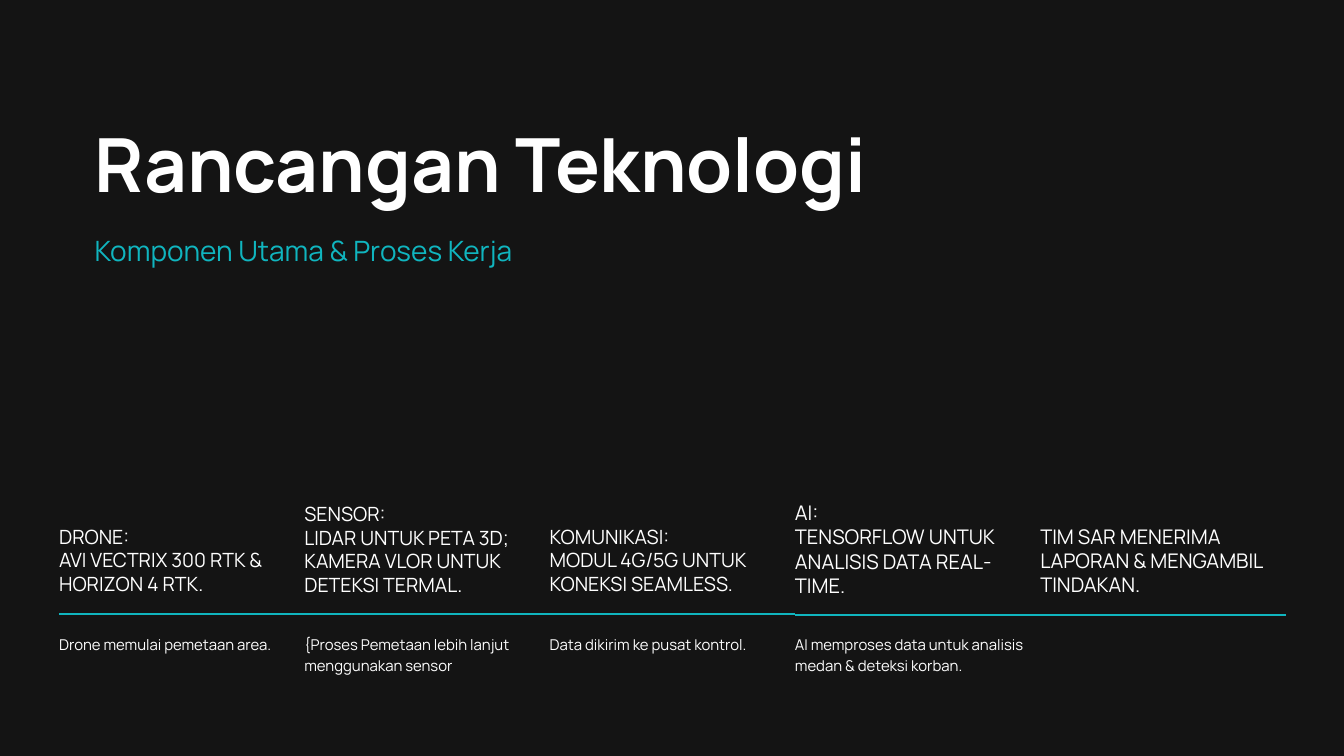
from dataclasses import dataclass

from pptx import Presentation
from pptx.dml.color import RGBColor
from pptx.enum.shapes import MSO_CONNECTOR
from pptx.oxml.ns import qn
from pptx.slide import Slide
from pptx.util import Inches, Pt
from lxml.etree import SubElement

DARK = RGBColor(0x14, 0x14, 0x14)
TEAL = RGBColor(0x10, 0xB5, 0xBF)
WHITE = RGBColor(0xFF, 0xFF, 0xFF)
FONT = "Manrope"
LEFT, STEP = 0.88, 3.65


@dataclass(frozen=True)
class TextStyle:
    size: float
    spacing: float
    color: RGBColor = WHITE
    bold: bool = False


@dataclass(frozen=True)
class Stage:
    heading: tuple[str, ...]
    top: float
    height: float
    style: TextStyle
    rule_y: float
    note: str = ""
    note_height: float = 0.29


TITLE = TextStyle(80, 96, bold=True)
SUBTITLE = TextStyle(30, 36, TEAL)
HEADING = TextStyle(21, 25.2)
LARGE_HEADING = TextStyle(21.6, 25.9)
NOTE = TextStyle(16, 22.4)

STAGES = (
    Stage(("DRONE:", "AVI VECTRIX 300 RTK & HORIZON 4 RTK."), 7.81, 1.03,
          HEADING, 9.14, "Drone memulai pemetaan area."),
    Stage(("SENSOR:", "LIDAR UNTUK PETA 3D; KAMERA VLOR UNTUK DETEKSI TERMAL."), 7.47, 1.37,
          HEADING, 9.14, "{Proses Pemetaan lebih lanjut menggunakan sensor", 0.59),
    Stage(("KOMUNIKASI:", "MODUL 4G/5G UNTUK KONEKSI SEAMLESS."), 7.81, 1.03,
          HEADING, 9.14, "Data dikirim ke pusat kontrol."),
    Stage(("AI:", "TENSORFLOW UNTUK ANALISIS DATA REAL-TIME."), 7.45, 1.41,
          LARGE_HEADING, 9.15, "AI memproses data untuk analisis medan & deteksi korban.", 0.59),
    Stage(("TIM SAR MENERIMA LAPORAN & MENGAMBIL TINDAKAN.",), 7.8, 1.05,
          LARGE_HEADING, 9.15),
)


def add_text(s: Slide, lines: tuple[str, ...], left: float, top: float,
             width: float, height: float, style: TextStyle) -> None:
    tf = s.shapes.add_textbox(Inches(left), Inches(top), Inches(width), Inches(height)).text_frame
    frame_format = {"word_wrap": True, "margin_left": 0, "margin_top": 0,
                    "margin_right": 0, "margin_bottom": 0}
    for name, value in frame_format.items():
        setattr(tf, name, value)
    for i, line in enumerate(lines):
        p = tf.add_paragraph() if i else tf.paragraphs[0]
        p.line_spacing = Pt(style.spacing)
        r = p.add_run()
        r.text = line
        font_format = {"name": FONT, "size": Pt(style.size), "bold": style.bold}
        for name, value in font_format.items():
            setattr(r.font, name, value)
        r.font.color.rgb = style.color


def add_rule(s: Slide, left: float, y: float) -> None:
    rule = s.shapes.add_connector(MSO_CONNECTOR.STRAIGHT, Inches(left), Inches(y),
                                  Inches(left + STEP), Inches(y))
    rule.line.color.rgb = TEAL
    rule.line.width = Pt(1.54)
    SubElement(rule._element.spPr, qn("a:effectLst"))


def add_stage(s: Slide, stage: Stage, left: float) -> None:
    add_text(s, stage.heading, left, stage.top, STEP, stage.height, stage.style)
    if stage.note:
        add_text(s, (stage.note,), left, stage.rule_y + 0.27, STEP, stage.note_height, NOTE)
    add_rule(s, left, stage.rule_y)


def main() -> None:
    prs = Presentation()
    prs.slide_width, prs.slide_height = Inches(20), Inches(11.25)
    s = prs.slides.add_slide(prs.slide_layouts[6])
    s.background.fill.solid()
    s.background.fill.fore_color.rgb = DARK
    add_text(s, ("Komponen Utama & Proses Kerja",), 1.41, 3.47, 16.22, 0.51, SUBTITLE)
    add_text(s, ("Rancangan Teknologi",), 1.41, 1.76, 16.22, 1.34, TITLE)
    for i, stage in enumerate(STAGES):
        add_stage(s, stage, LEFT + i * STEP)
    prs.save("out.pptx")


if __name__ == "__main__":
    main()
